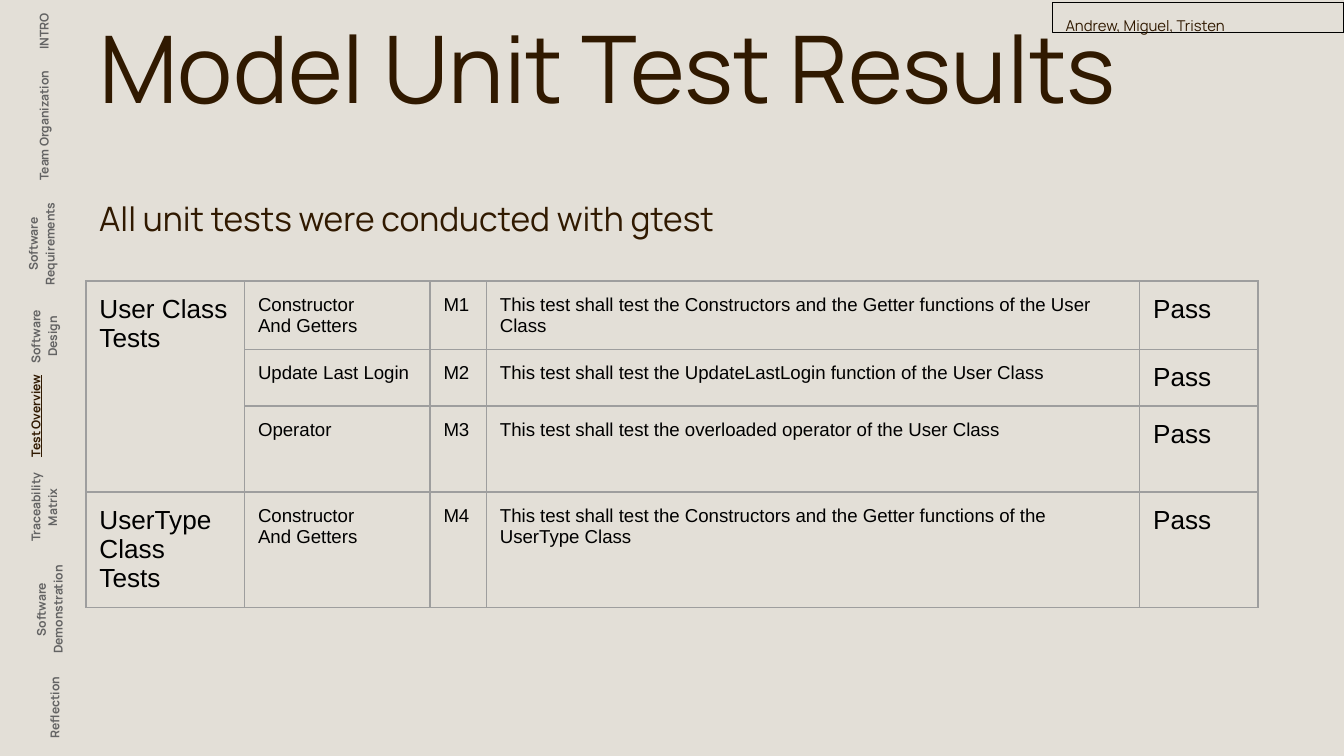
"""Build the unit test results slide with its side navigation and test table."""
from lxml import etree
from pptx import Presentation
from pptx.dml.color import RGBColor
from pptx.enum.shapes import MSO_SHAPE
from pptx.enum.text import MSO_ANCHOR, PP_ALIGN
from pptx.oxml.ns import qn
from pptx.util import Inches, Pt

RECT = MSO_SHAPE.RECTANGLE
TOP = MSO_ANCHOR.TOP
LEFT, CENTER = PP_ALIGN.LEFT, PP_ALIGN.CENTER
SAND = RGBColor(0xE3, 0xDF, 0xD7)
BROWN = RGBColor(0x30, 0x19, 0x00)
GRAY = RGBColor(0x63, 0x63, 0x63)
BLACK = RGBColor(0, 0, 0)
RULE = RGBColor(0x9E, 0x9E, 0x9E)
INSET = Inches(0.1)
WIDE = 10
HIGH = WIDE * 9 / 16

TITLE = "Model Unit Test Results"
INTRO = "All unit tests were conducted with gtest"
NAMES = "Andrew, Miguel, Tristen"
ACTIVE = "Test Overview"
NAV_HIGH = 0.31
NAV = [
    ("INTRO", -0.1, 0.08, 0.82),
    ("Team Organization", -0.34, 0.78, 1.3),
    ("Software Requirements", -0.22, 1.66, 0.9),
    ("Software Design", -0.16, 2.35, 0.82),
    (ACTIVE, -0.16, 2.94, 0.82),
    ("Traceability Matrix", -0.2, 3.62, 0.9),
    ("Software Demonstration", -0.23, 4.38, 1.04),
    ("Reflection", -0.02, 5.11, 0.82),
]
COLS = [1.18, 1.38, 0.42, 4.86, 0.88]
ROWS = [0.51, 0.42, 0.64, 0.86]
SIZES = [14, 10, 10, 10, 14]
SHALL = "This test shall test the "
TESTS = [
    ("User Class Tests", "Constructor\nAnd Getters", "M1",
     SHALL + "Constructors and the Getter functions of the User Class", "Pass"),
    ("", "Update Last Login", "M2",
     SHALL + "UpdateLastLogin function of the User Class", "Pass"),
    ("", "Operator", "M3",
     SHALL + "overloaded operator of the User Class", "Pass"),
    ("UserType Class Tests", "Constructor\nAnd Getters", "M4",
     SHALL + "Constructors and the Getter functions of the UserType Class", "Pass"),
]


def write(frame, text, size, color=BROWN, face="Manrope", bold=False,
          line=False, align=LEFT, space=1.0):
    frame.word_wrap = True
    frame.text = text
    for para in frame.paragraphs:
        para.alignment = align
        para.line_spacing = space
        font = para.runs[0].font
        font.name, font.size, font.bold = face, Pt(size), bold
        font.underline = line
        font.color.rgb = color


def pad(item):
    item.margin_left = item.margin_right = INSET
    item.margin_top = item.margin_bottom = INSET
    item.vertical_anchor = TOP


def place(shape, left, top, wide, high):
    shape.left, shape.top = Inches(left), Inches(top)
    shape.width, shape.height = Inches(wide), Inches(high)
    pad(shape.text_frame)


def add_box(slide, *area):
    box = slide.shapes.add_textbox(0, 0, 0, 0)
    place(box, *area)
    return box


def edge(cell):
    props = cell._tc.get_or_add_tcPr()
    for pos, side in enumerate(("a:lnL", "a:lnR", "a:lnT", "a:lnB")):
        line = etree.Element(qn(side), w=str(Pt(0.75)))
        fill = etree.SubElement(line, qn("a:solidFill"))
        etree.SubElement(fill, qn("a:srgbClr"), val=str(RULE))
        props.insert(pos, line)


def add_tests(slide):
    frame = slide.shapes.add_table(
        len(ROWS), len(COLS), Inches(0.64), Inches(2.09),
        Inches(sum(COLS)), Inches(sum(ROWS)))
    table = frame.table
    table.first_row = table.horz_banding = False
    for col, wide in zip(table.columns, COLS):
        col.width = Inches(wide)
    for row, high, test in zip(table.rows, ROWS, TESTS):
        row.height = Inches(high)
        for cell, text, size in zip(row.cells, test, SIZES):
            pad(cell)
            cell.fill.background()
            edge(cell)
            if text:
                write(cell.text_frame, text, size, color=BLACK, face="Arial")
    table.cell(0, 0).merge(table.cell(2, 0))


def main():
    deck = Presentation()
    deck.slide_width, deck.slide_height = Inches(WIDE), Inches(HIGH)
    slide = deck.slides.add_slide(deck.slide_layouts[5])
    slide.background.fill.solid()
    slide.background.fill.fore_color.rgb = SAND

    add_tests(slide)
    intro = add_box(slide, 0.64, 1.37, 8.16, 0.57)
    write(intro.text_frame, INTRO, 18)
    title = slide.shapes.title
    place(title, 0.64, 0.14, 8.72, 1.14)
    write(title.text_frame, TITLE, 50, space=0.8)

    for text, left, top, wide in NAV:
        item = add_box(slide, left, top, wide, NAV_HIGH)
        item.rotation = 270
        item.text_frame.margin_bottom = 0
        here = text == ACTIVE
        write(item.text_frame, text, 6.5, color=BROWN if here else GRAY,
              bold=True, line=here, align=CENTER, space=1.15)

    names = slide.shapes.add_shape(RECT, 0, 0, 0, 0)
    place(names, 7.83, 0.02, 2.17, 0.22)
    names.shadow.inherit = False
    names.fill.background()
    names.line.color.rgb = BLACK
    names.line.width = Pt(0.75)
    write(names.text_frame, NAMES, 8)
    deck.save("out.pptx")


if __name__ == "__main__":
    main()
